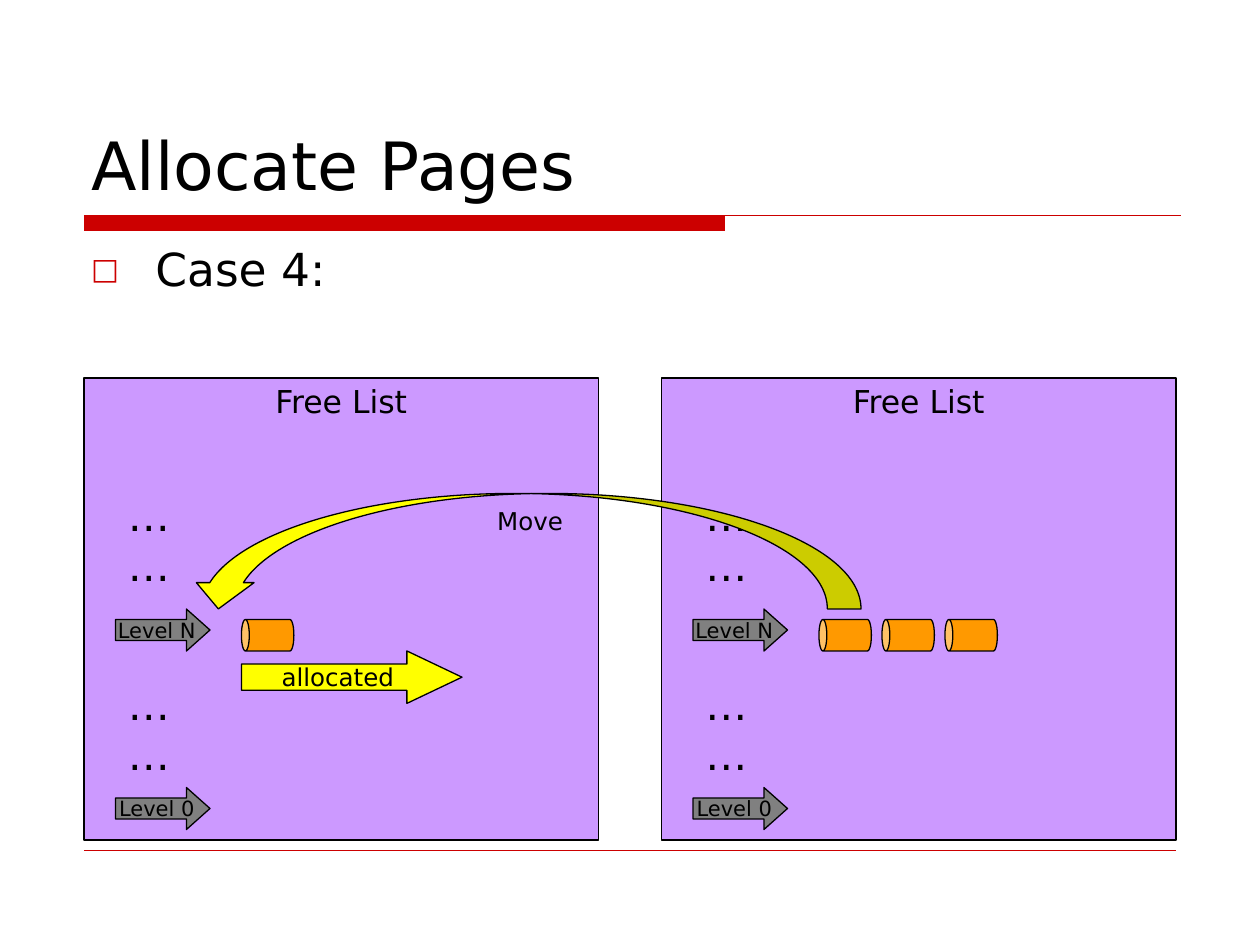
import math
from typing import NamedTuple
from lxml import etree
from pptx import Presentation
from pptx.dml.color import RGBColor
from pptx.enum import shapes as s, text as t
from pptx.oxml import ns
from pptx import util as u

FONT = "DejaVu Sans"
CELL = u.Inches(1) / 12
BLACK, RED, YELLOW, ORANGE = "000000", "CC0000", "FFFF00", "FF9900"
LILAC, GREY = "CC99FF", "808080"

Point = tuple[float, float]


class Box(NamedTuple):
    col: float
    row: float
    cols: float
    rows: float


class FreeList(NamedTuple):
    col: float
    pages: int


class Level(NamedTuple):
    label: str
    row: float


class Outline(NamedTuple):
    start: Point
    steps: list[list[Point]]
    closed: bool
    options: dict[str, str]


FREE_LISTS = [FreeList(63, 3), FreeList(8, 1)]
LEVELS = [Level("Level N", 58), Level("Level 0", 75)]
GAP_ROWS = [46, 64]


def cells(n: float) -> int:
    return round(n * CELL)


def colour(value: str) -> RGBColor:
    return RGBColor.from_string(value)


def paint(shape, fill: str, line: str = BLACK) -> None:
    shape.shadow.inherit = False
    shape.fill.solid()
    shape.fill.fore_color.rgb = colour(fill)
    shape.line.color.rgb = colour(line)
    shape.line.width = u.Pt(0.75)


def write(shape, words: str, size: float, align=t.PP_ALIGN.CENTER,
          anchor=t.MSO_ANCHOR.MIDDLE, wrap: bool = False):
    frame = shape.text_frame
    frame.word_wrap = wrap
    frame.vertical_anchor = anchor
    paragraph = frame.paragraphs[0]
    paragraph.text = words
    paragraph.alignment = align
    paragraph.font.size = u.Pt(size)
    paragraph.font.name = FONT
    paragraph.font.color.rgb = colour(BLACK)
    return paragraph


def add_block(slide, kind, box: Box, fill: str):
    block = slide.shapes.add_shape(kind, *map(cells, box))
    paint(block, fill)
    return block


def add_arrow(slide, box: Box, fill: str, head: float, words: str, size: float) -> None:
    arrow = add_block(slide, s.MSO_SHAPE.RIGHT_ARROW, box, fill)
    arrow.adjustments[0] = 0.5
    arrow.adjustments[1] = head
    write(arrow, words, size)


def add_label(slide, box: Box, words: str, size: float):
    label = slide.shapes.add_textbox(*map(cells, box))
    return write(label, words, size, t.PP_ALIGN.LEFT, t.MSO_ANCHOR.TOP, True)


def add_rule(slide, row: float, start: float, end: float, width: float) -> None:
    rule = slide.shapes.add_connector(
        s.MSO_CONNECTOR.STRAIGHT, cells(start), cells(row), cells(end), cells(row))
    rule.line.color.rgb = colour(RED)
    rule.line.width = u.Pt(width)
    etree.SubElement(rule._element.spPr, ns.qn("a:effectLst"))


def add_outlines(slide, box: Box, outlines: list[Outline], fill: str, line: str):
    left, top, width, height = map(cells, box)
    builder = slide.shapes.build_freeform(left, top)
    builder.add_line_segments([(left + width, top), (left + width, top + height)])
    shape = builder.convert_to_shape()
    paint(shape, fill, line)
    path_list = shape._element.spPr.find(".//" + ns.qn("a:pathLst"))
    path_list.clear()
    for outline in outlines:
        path = etree.SubElement(path_list, ns.qn("a:path"), w=str(width), h=str(height),
                                **outline.options)
        for step in [[outline.start]] + outline.steps:
            tag = "a:cubicBezTo" if len(step) == 3 else "a:lnTo"
            move = etree.SubElement(path, ns.qn(tag if len(path) else "a:moveTo"))
            for x, y in step:
                etree.SubElement(move, ns.qn("a:pt"), x=str(cells(x) - left), y=str(cells(y) - top))
        if outline.closed:
            etree.SubElement(path, ns.qn("a:close"))
    return shape


def on_arc(centre: float, angle: float) -> Point:
    return centre + 29.8 * math.cos(angle), 58 - 11 * math.sin(angle)


def arc(centre: float, start: float, end: float) -> list[Point]:
    pull = 4 / 3 * math.tan((end - start) / 4)
    (x1, y1), (x2, y2) = on_arc(centre, start), on_arc(centre, end)
    return [(x1 - pull * 29.8 * math.sin(start), y1 - pull * 11 * math.cos(start)),
            (x2 + pull * 29.8 * math.sin(end), y2 + pull * 11 * math.cos(end)), (x2, y2)]


def add_move_arrow(slide) -> None:
    left, right = 49, 52.2
    lean = math.asin((right - left) / 2 / 29.8)
    cross_left, cross_right = math.pi / 2 - lean, math.pi / 2 + lean
    neck = math.pi - math.asin(2.5 / 11)
    head = [[(18.7, 55.5)], [(20.8, 58)], [(24.2, 55.5)], [on_arc(right, neck)]]
    front = Outline(on_arc(left, cross_left),
                    [arc(left, cross_left, neck), *head, arc(right, neck, cross_right)], True, {})
    tail = Outline(on_arc(right, 0),
                   [arc(right, 0, cross_right), arc(left, cross_left, 0)], True,
                   {"fill": "darkenLess"})
    arrow = add_outlines(slide, Box(18, 47, 64, 11), [front, tail], YELLOW, BLACK)
    write(arrow, "Move", 14, anchor=t.MSO_ANCHOR.TOP)
    arrow.text_frame.margin_left = u.Inches(0.18)
    arrow.text_frame.margin_top = u.Inches(0.1)


def add_header_bar(slide) -> None:
    bar = Outline((8, 20.5), [[(69.1, 20.5)], [(69.1, 22)], [(8, 22)]], True, {"stroke": "0"})
    rule = Outline((8, 20.5), [[(112.5, 20.5)]], False, {"fill": "none"})
    add_outlines(slide, Box(8, 20.5, 104.5, 1.5), [bar, rule], RED, RED)


def add_free_list(slide, free_list: FreeList) -> None:
    panel = add_block(slide, s.MSO_SHAPE.RECTANGLE, Box(free_list.col, 36, 49, 44), LILAC)
    write(panel, "Free List", 18, anchor=t.MSO_ANCHOR.TOP)
    panel.text_frame.margin_top = u.Inches(0.03)
    inner = free_list.col + 3
    for level in LEVELS:
        add_arrow(slide, Box(inner, level.row, 9, 4), GREY, 0.56, level.label, 12)
    for row in GAP_ROWS:
        add_label(slide, Box(inner, row, 9, 6), "……", 24)
    for page in range(free_list.pages):
        can = add_block(slide, s.MSO_SHAPE.CAN, Box(inner + 13 + 6 * page, 58, 3, 5), ORANGE)
        can.rotation = 270
        can.adjustments[0] = 0.25


def add_case(slide) -> None:
    case = add_label(slide, Box(7.5, 23, 55.5, 56), "Case 4:", 26)
    case.line_spacing = 0.9
    props = case._p.get_or_add_pPr()
    props.set("marL", str(u.Inches(0.51)))
    props.set("indent", str(-u.Inches(0.51)))
    bullet_colour = etree.Element(ns.qn("a:buClr"))
    etree.SubElement(bullet_colour, ns.qn("a:srgbClr"), val=RED)
    bullet_size = etree.Element(ns.qn("a:buSzPct"), val="65000")
    bullet_font = etree.Element(ns.qn("a:buFont"), typeface=FONT)
    bullet = etree.Element(ns.qn("a:buChar"), char="□")
    defaults = props.find(ns.qn("a:defRPr"))
    for part in (bullet_colour, bullet_size, bullet_font, bullet):
        defaults.addprevious(part)


def main() -> None:
    deck = Presentation()
    deck.slide_width, deck.slide_height = cells(120), cells(90)
    slide = deck.slides.add_slide(deck.slide_layouts[5])
    title = slide.shapes.title
    title.left, title.top, title.width, title.height = map(cells, Box(7.5, 4, 105, 16))
    write(title, "Allocate Pages", 38, t.PP_ALIGN.LEFT, t.MSO_ANCHOR.BOTTOM, True)
    add_header_bar(slide)
    add_rule(slide, 81, 8, 112, 0.25)
    for free_list in FREE_LISTS:
        add_free_list(slide, free_list)
    add_arrow(slide, Box(23, 62, 21, 5), YELLOW, 1.05, "allocated", 14)
    add_move_arrow(slide)
    add_case(slide)
    deck.save("out.pptx")


if __name__ == "__main__":
    main()
